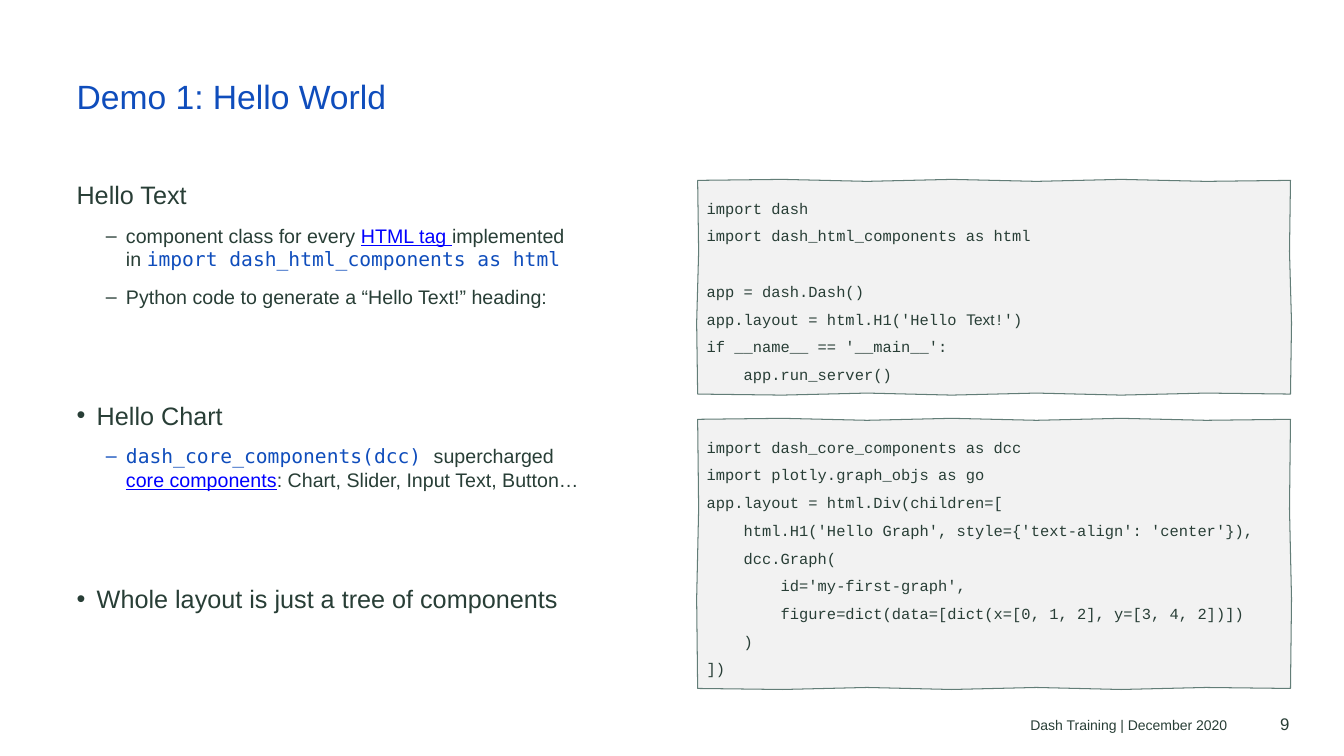
from lxml import etree
from pptx import Presentation
from pptx.dml.color import RGBColor
from pptx.enum import text as t
from pptx.oxml.ns import qn
from pptx.util import Inches, Pt

INK = RGBColor(0x28, 0x3E, 0x36)
BLUE = RGBColor(0x0F, 0x4D, 0xBC)
LINK = RGBColor(0x00, 0x00, 0xFF)
GREY = RGBColor(0xF2, 0xF2, 0xF2)
EDGE = RGBColor(0x62, 0x7D, 0x77)
SANS, MONO, CODE = "Arial", "DejaVu Sans Mono", "Courier New"
WAVE = 0.01  # height of the hand-drawn wobble, in inches

deck = Presentation()
deck.slide_width, deck.slide_height = Inches(13.33), Inches(7.5)
slide = deck.slides.add_slide(deck.slide_layouts[5])


def style(font, size, name=SANS, color=INK):
    font.size, font.name = Pt(size), name
    font.color.rgb = color


def bare(frame, anchor):
    """Wrap the text, without margins."""
    frame.word_wrap = True
    frame.vertical_anchor = anchor
    frame.margin_left = frame.margin_right = frame.margin_top = frame.margin_bottom = 0


# Title
title = slide.shapes.title
title.left, title.top = Inches(0.76), Inches(0.75)
title.width, title.height = Inches(12.05), Inches(0.76)
frame = title.text_frame
bare(frame, t.MSO_ANCHOR.TOP)
frame.text = "Demo 1: Hello World"
frame.paragraphs[0].alignment = t.PP_ALIGN.LEFT
style(frame.paragraphs[0].font, 24, color=BLUE)

# Points on the left: bullet, indent, space before, size, runs
plain, link, code = (SANS, INK), (SANS, LINK), (MONO, BLUE)
points = [
    ("", 0, 0, 18, [("Hello Text", plain)]),
    ("–", 0.49, 10, 14, [
        ("component class for every ", plain), ("HTML tag ", link),
        ("implemented in ", plain), ("import dash_html_components as html", code)]),
    ("–", 0.49, 10, 14, [("Python code to generate a “Hello Text!” heading:", plain)]),
    ("•", 0.2, 65.5, 18, [("Hello Chart", plain)]),
    ("–", 0.49, 10, 14, [
        ("dash_core_components(dcc) ", code), ("supercharged ", plain),
        ("core components", link), (": Chart, Slider, Input Text, Button…", plain)]),
    ("•", 0.2, 66, 18, [("Whole layout is just a tree of components", plain)]),
]
body = slide.shapes.add_textbox(Inches(0.76), Inches(1.78), Inches(5), Inches(4.8))
frame = body.text_frame
bare(frame, t.MSO_ANCHOR.TOP)
for i, (mark, dent, gap, size, runs) in enumerate(points):
    para = frame.add_paragraph() if i else frame.paragraphs[0]
    para.space_before = Pt(gap)
    if mark:
        props = para._p.get_or_add_pPr()
        props.set("marL", str(Inches(dent)))
        props.set("indent", str(Inches(-0.2)))
        etree.SubElement(props, qn("a:buFont")).set("typeface", SANS)
        etree.SubElement(props, qn("a:buChar")).set("char", mark)
    for words, (name, color) in runs:
        run = para.add_run()
        run.text = words
        style(run.font, size, name, color)
        if color == LINK:
            run.font.underline = True

# Code panels: top, height, lines
panels = [
    (1.79, 2.12, """import dash
import dash_html_components as html

app = dash.Dash()
app.layout = html.H1('Hello Text!')
if __name__ == '__main__':
    app.run_server()"""),
    (4.16, 2.67, """import dash_core_components as dcc
import plotly.graph_objs as go
app.layout = html.Div(children=[
    html.H1('Hello Graph', style={'text-align': 'center'}),
    dcc.Graph(
        id='my-first-graph',
        figure=dict(data=[dict(x=[0, 1, 2], y=[3, 4, 2])])
    )
])"""),
]
left, right = 6.92, 12.8
for top, high, lines in panels:
    # Wavy outline, seven steps across and three down
    low = top + high
    ends = [(left, top), (right, top), (right, low), (left, low), (left, top)]
    dots = []
    for side, ((x, y), (x2, y2)) in enumerate(zip(ends, ends[1:])):
        flat = side % 2 == 0
        steps = 7 if flat else 3
        for i in range(steps):
            off = WAVE * (-1) ** i if i else 0
            dots.append((Inches(x + (x2 - x) * i / steps + (0 if flat else off)),
                         Inches(y + (y2 - y) * i / steps + (off if flat else 0))))
    pen = slide.shapes.build_freeform(*dots[0])
    pen.add_line_segments(dots[1:], close=True)
    panel = pen.convert_to_shape()
    panel.shadow.inherit = False
    panel.fill.solid()
    panel.fill.fore_color.rgb = GREY
    panel.line.color.rgb, panel.line.width = EDGE, Pt(0.75)

    # Code
    frame = panel.text_frame
    frame.word_wrap = True
    frame.vertical_anchor = t.MSO_ANCHOR.TOP
    frame.margin_left = frame.margin_right = Inches(0.1)
    frame.margin_top = frame.margin_bottom = Inches(0.1)
    gap = 0
    rows = lines.split("\n")
    for i, line in enumerate(rows):
        if not line:  # blank line of code
            gap = 19.9
            continue
        para = frame.add_paragraph() if i else frame.paragraphs[0]
        para.alignment = t.PP_ALIGN.LEFT
        para.line_spacing = 1.5
        para.space_before, gap = Pt(gap), 0
        # One word of the heading is set in the sans font
        head, word, tail = line.partition("Text")
        for part, name in ((head, CODE), (word, SANS), (tail, CODE)):
            if part:
                run = para.add_run()
                run.text = part
                style(run.font, 11, name)

# Footer and page number
for x, y, wide, high, size, words in (
    (3.56, 7.12, 8.61, 0.15, 10, "Dash Training | December 2020"),
    (12.48, 7.08, 0.31, 0.2, 12, "9"),
):
    note = slide.shapes.add_textbox(Inches(x), Inches(y), Inches(wide), Inches(high))
    frame = note.text_frame
    bare(frame, t.MSO_ANCHOR.BOTTOM)
    frame.text = words
    frame.paragraphs[0].alignment = t.PP_ALIGN.RIGHT
    style(frame.paragraphs[0].font, size)

deck.save("out.pptx")
